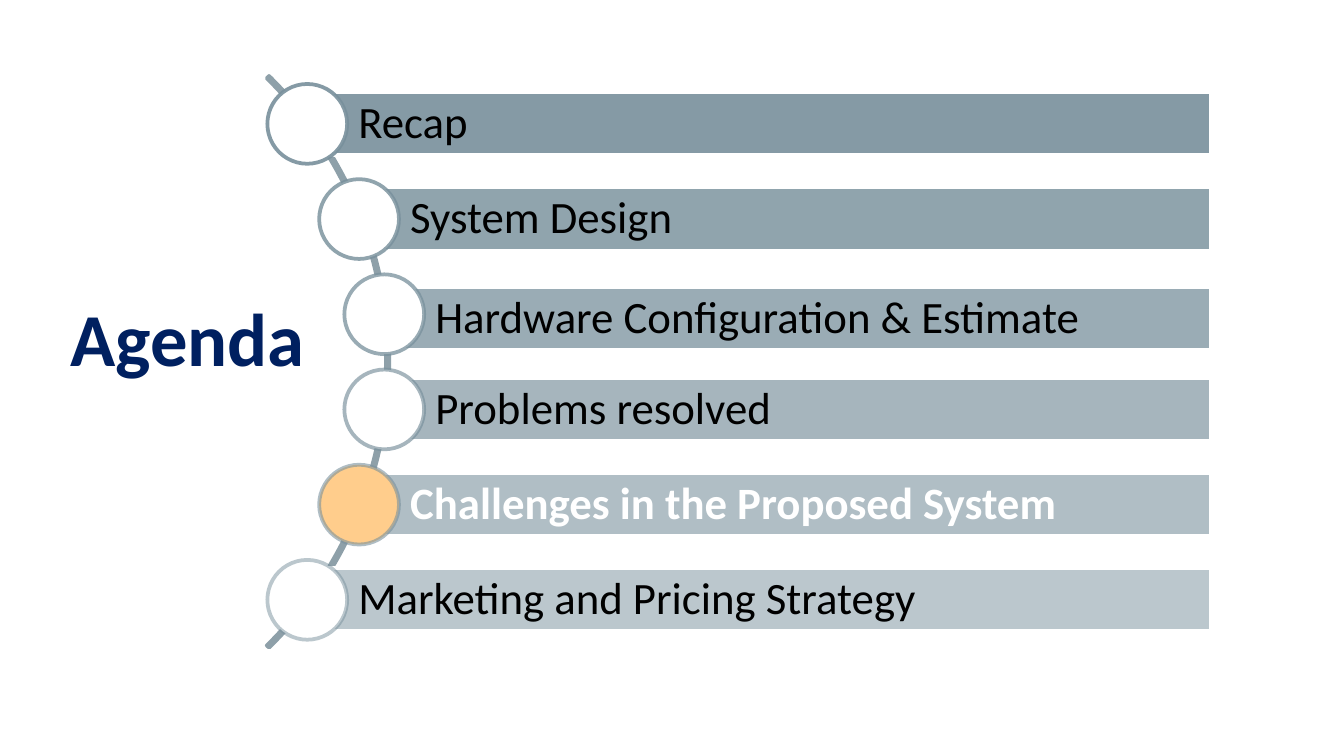
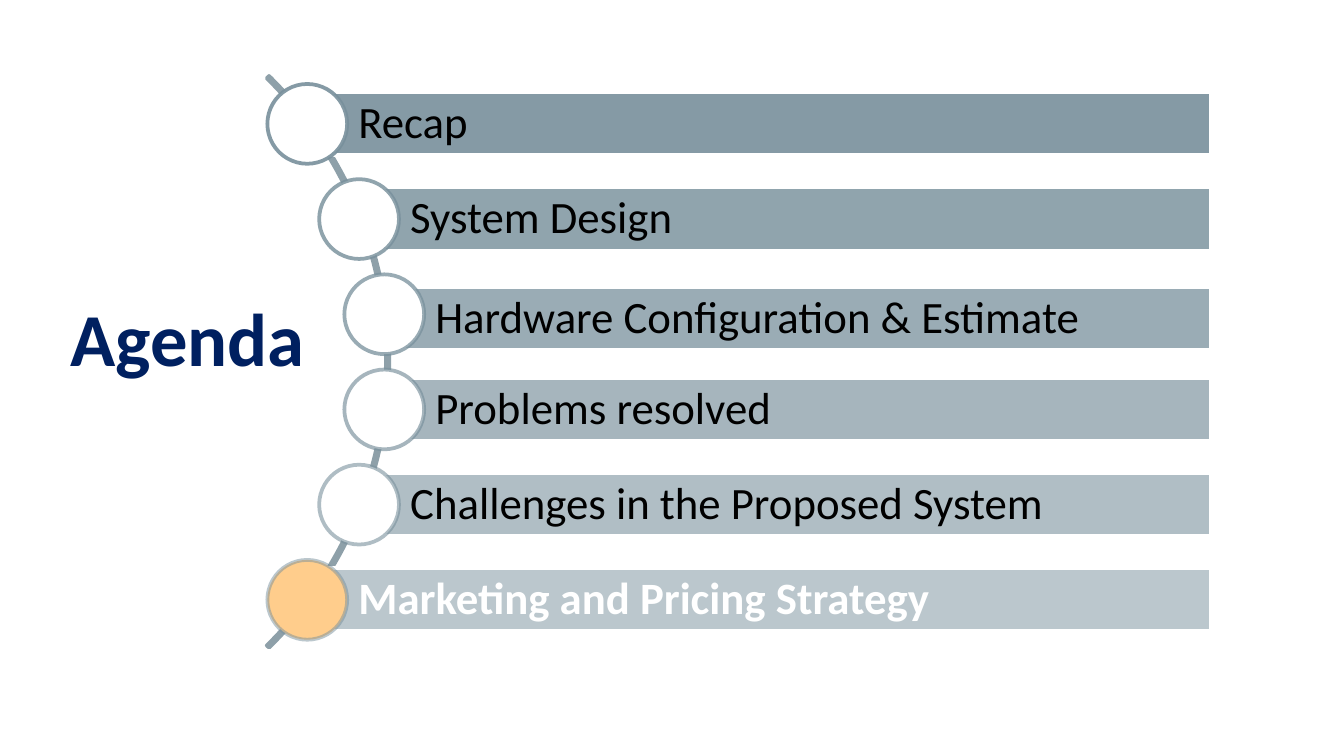
import pptx
import pptx.dml.color
import pptx.enum.shapes
import pptx.enum.text
import pptx.oxml
import pptx.oxml.ns
import pptx.util

PX = 9525  # EMU in one px, 96 px to the inch
SHAPE = pptx.enum.shapes.MSO_SHAPE
RGB = pptx.dml.color.RGBColor
WHITE = RGB(0xFF, 0xFF, 0xFF)
BLACK = RGB(0x00, 0x00, 0x00)
NAVY = RGB(0x00, 0x20, 0x60)
SLATE = RGB(0x78, 0x90, 0x9C)
ARC_GREY = RGB(0x8E, 0xA0, 0xA9)
AMBER = RGB(0xFF, 0xCD, 0x8C)

TOPICS = [
    "Recap",
    "System Design",
    "Hardware Configuration & Estimate",
    "Problems resolved",
    "Challenges in the Proposed System",
    "Marketing and Pricing Strategy",
]
BAR_LEFTS = [220, 257, 275, 275, 257, 220]
BAR_NUDGES = [0, 0, 3, 0, 0, 0]
BAR_RIGHT, BAR_TOP, BAR_HEIGHT, PITCH = 865, 66, 45, 68
DIAMETER, DOT_OFFSET, DOT_TOP = 57, 29, 60


def add_outlined(shapes, kind, bounds, fill, line):
    shape = shapes.add_shape(kind, *(value * PX for value in bounds))
    shape.shadow.inherit = False
    if fill is None:
        shape.fill.background()
    else:
        shape.fill.solid()
        shape.fill.fore_color.rgb = fill
    shape.line.color.rgb = line
    shape.line.width = pptx.util.Pt(2)
    return shape


def set_opacity(parent, percent):
    color = parent.find(pptx.oxml.ns.qn("a:solidFill"))[0]
    alpha = pptx.oxml.parse_xml(f'<a:alpha {pptx.oxml.ns.nsdecls("a")} val="{percent * 1000}"/>')
    color.append(alpha)


deck = pptx.Presentation()
deck.slide_width = 960 * PX
deck.slide_height = 540 * PX

# One agenda page for each highlighted topic
for current in ["Challenges in the Proposed System", "Marketing and Pricing Strategy"]:
    page = deck.slides.add_slide(deck.slide_layouts[6])
    agenda = page.shapes.add_group_shape().shapes

    # Arc behind the list
    arc = add_outlined(agenda, SHAPE.BLOCK_ARC, (-302, -29, 580, 575), None, ARC_GREY)
    for index, value in enumerate([189, 27, 0.004]):
        arc.adjustments[index] = value

    # Topic bars, each with its dot, fading downwards
    for row, (topic, left, nudge) in enumerate(zip(TOPICS, BAR_LEFTS, BAR_NUDGES)):
        active = topic == current
        opacity = 90 - 8 * row
        bounds = (left, BAR_TOP + row * PITCH + nudge, BAR_RIGHT - left, BAR_HEIGHT)
        bar = add_outlined(agenda, SHAPE.RECTANGLE, bounds, SLATE, WHITE)
        set_opacity(bar.element.spPr, opacity)

        frame = bar.text_frame
        frame_format = {
            "word_wrap": True,
            "vertical_anchor": pptx.enum.text.MSO_ANCHOR.MIDDLE,
            "margin_left": 36 * PX,
            "margin_top": 7 * PX,
            "margin_right": 7 * PX,
            "margin_bottom": 7 * PX,
        }
        for name, value in frame_format.items():
            setattr(frame, name, value)
        para = frame.paragraphs[0]
        para.alignment = pptx.enum.text.PP_ALIGN.LEFT
        para.line_spacing = 0.9
        span = para.add_run()
        span.text = topic
        topic_format = {"name": "Calibri", "size": pptx.util.Pt(24), "bold": active}
        for name, value in topic_format.items():
            setattr(span.font, name, value)
        span.font.color.rgb = WHITE if active else BLACK

        bounds = (left - DOT_OFFSET, DOT_TOP + row * PITCH, DIAMETER, DIAMETER)
        dot = add_outlined(agenda, SHAPE.OVAL, bounds, AMBER if active else WHITE, SLATE)
        set_opacity(dot.element.spPr.find(pptx.oxml.ns.qn("a:ln")), opacity)

    # Title
    box = page.shapes.add_textbox(41 * PX, 204 * PX, 227 * PX, 74 * PX)
    box.text_frame.word_wrap = True
    box.text_frame.auto_size = pptx.enum.text.MSO_AUTO_SIZE.SHAPE_TO_FIT_TEXT
    span = box.text_frame.paragraphs[0].add_run()
    span.text = "Agenda"
    title_format = {"name": "Calibri", "size": pptx.util.Pt(40), "bold": True}
    for name, value in title_format.items():
        setattr(span.font, name, value)
    span.font.color.rgb = NAVY

deck.save("out.pptx")
